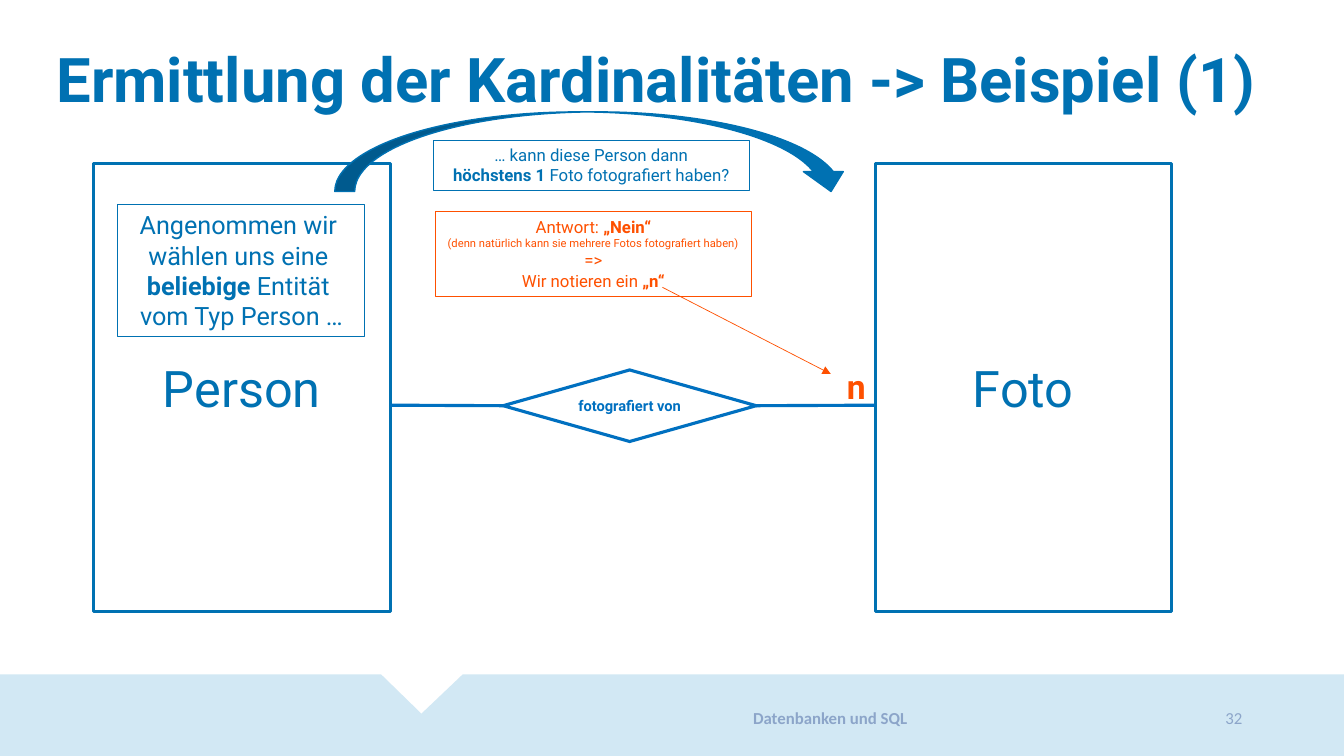
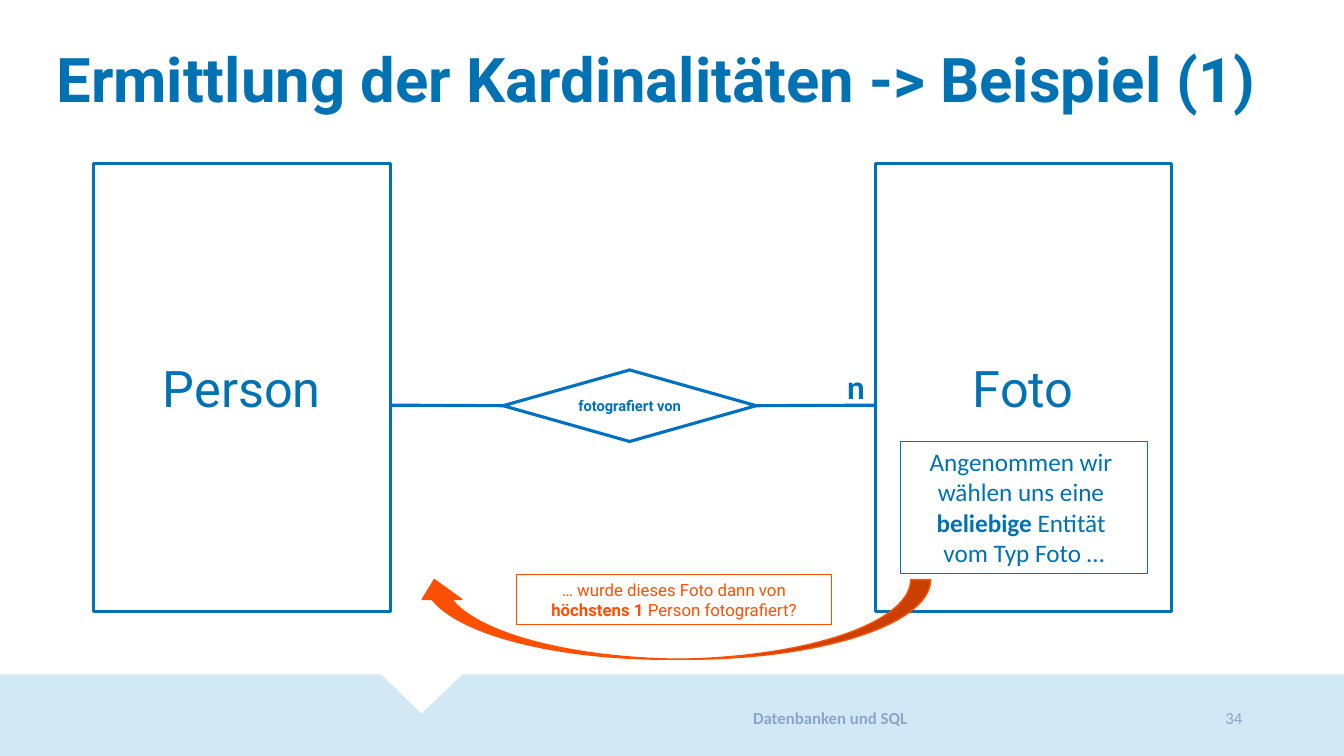
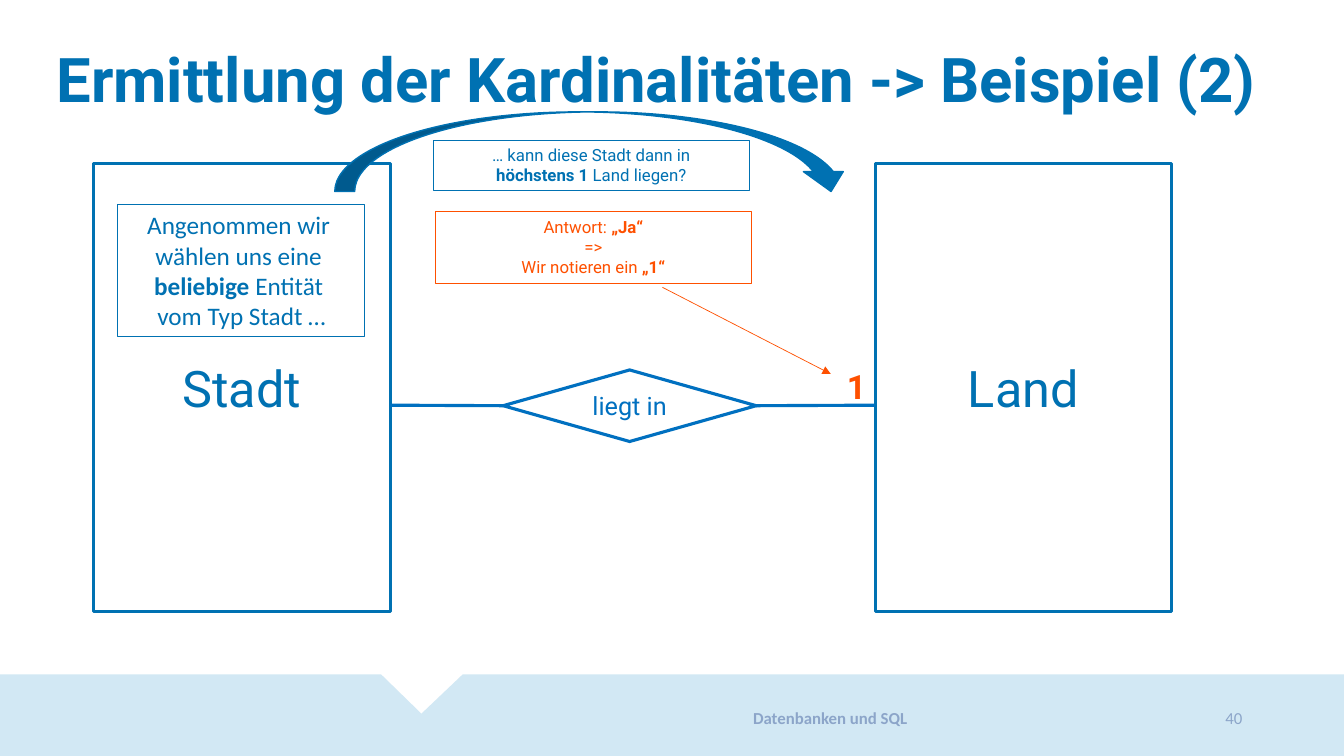
from dataclasses import dataclass

from lxml.etree import SubElement
from pptx import Presentation
from pptx.dml.color import RGBColor
from pptx.enum.shapes import MSO_CONNECTOR as Link, MSO_SHAPE as Shape
from pptx.enum.text import MSO_ANCHOR as Anchor, MSO_AUTO_SIZE as Fit, PP_ALIGN as Align
from pptx.oxml.ns import qn
from pptx.util import Inches, Pt


@dataclass(frozen=True)
class Theme:
    blue: str = "0071B2"
    relation_blue: str = "0070C0"
    orange: str = "FE5000"
    band: str = "D2E8F4"
    footer: str = "8CA5C9"
    main_font: str = "Roboto"
    plain_font: str = "Calibri"
    title_size: float = 44
    entity_size: float = 36
    mark_size: float = 24
    premise_size: float = 18
    note_size: float = 12
    relation_size: float = 10.5
    aside_size: float = 8


THEME = Theme()
WIDTH, HEIGHT = 13.33, 7.5
LEFT_ENTITY, RIGHT_ENTITY = 0.93, 8.68
ENTITY_TOP, ENTITY_WIDTH, ENTITY_HEIGHT = 1.62, 2.94, 4.45
LINK_Y = 4.02


class Deck:
    """Builds the cardinality slides in one style; asterisks in a text enclose bold words."""

    def __init__(self, theme):
        self.theme = theme
        self.file = Presentation()
        self.file.slide_width, self.file.slide_height = Inches(WIDTH), Inches(HEIGHT)
        self.page = None

    def add_page(self, title, number):
        theme = self.theme
        self.page = self.file.slides.add_slide(self.file.slide_layouts[5])
        heading = self.page.shapes.title
        place = {"left": 0.46, "top": 0.42, "width": 12.17, "height": 0.79}
        for name, value in place.items():
            setattr(heading, name, Inches(value))
        self.fill_text(heading, [title], theme.title_size, theme.blue, bold=True,
                       align=Align.LEFT, anchor=Anchor.MIDDLE, spacing=0.9)
        self.add_band()
        self.add_text((5.87, 6.9, 4.73, 0.45), "Datenbanken und SQL", theme.note_size,
                      theme.footer, font=theme.plain_font, bold=True, anchor=Anchor.MIDDLE)
        self.add_text((10.6, 6.9, 1.82, 0.45), number, theme.note_size, theme.footer,
                      font=theme.plain_font, align=Align.RIGHT, anchor=Anchor.MIDDLE)

    def add_band(self):
        outline = [(3.78, 6.69), (4.18, 7.08), (4.59, 6.69), (WIDTH, 6.69),
                   (WIDTH, HEIGHT), (0, HEIGHT)]
        builder = self.page.shapes.build_freeform(0, Inches(6.69))
        builder.add_line_segments([(Inches(x), Inches(y)) for x, y in outline])
        self.paint(builder.convert_to_shape(), fill=self.theme.band)

    def paint(self, shape, fill=None, line=None, weight=1.0):
        shape.shadow.inherit = False
        for part, color in ((shape.fill, fill), (shape.line.fill, line)):
            if color:
                part.solid()
                part.fore_color.rgb = RGBColor.from_string(color)
            else:
                part.background()
        if line:
            shape.line.width = Pt(weight)

    def fill_text(self, shape, lines, size, color, font=None, bold=False, align=Align.CENTER,
                  anchor=Anchor.TOP, spacing=None, fit=Fit.NONE, wrap=True):
        frame = shape.text_frame
        layout = {"word_wrap": wrap, "auto_size": fit, "vertical_anchor": anchor}
        for name, value in layout.items():
            setattr(frame, name, value)
        for index, line in enumerate(lines):
            text, line_size = line if isinstance(line, tuple) else (line, size)
            para = frame.add_paragraph() if index else frame.paragraphs[0]
            para.alignment, para.line_spacing = align, spacing
            for position, part in enumerate(text.split("*")):
                if not part:
                    continue
                span = para.add_run()
                span.text = part
                style = {"name": font or self.theme.main_font, "size": Pt(line_size),
                         "bold": bold or position % 2 == 1}
                for name, value in style.items():
                    setattr(span.font, name, value)
                span.font.color.rgb = RGBColor.from_string(color)

    def add_shape(self, kind, place, **colors):
        shape = self.page.shapes.add_shape(kind, *map(Inches, place))
        self.paint(shape, **colors)
        return shape

    def add_text(self, place, text, size, color, **style):
        box = self.page.shapes.add_textbox(*map(Inches, place))
        self.fill_text(box, [text], size, color, **style)

    def add_line(self, start, end, color, weight, arrow=False):
        points = map(Inches, (*start, *end))
        line = self.page.shapes.add_connector(Link.STRAIGHT, *points)
        line.line.color.rgb = RGBColor.from_string(color)
        line.line.width = Pt(weight)
        properties = line.element.spPr
        if arrow:
            SubElement(properties.find(qn("a:ln")), qn("a:tailEnd"), type="triangle")
        SubElement(properties, qn("a:effectLst"))
        return line

    def add_entity(self, left, name):
        theme = self.theme
        place = (left, ENTITY_TOP, ENTITY_WIDTH, ENTITY_HEIGHT)
        box = self.add_shape(Shape.RECTANGLE, place, line=theme.blue, weight=2.25)
        self.fill_text(box, [name], theme.entity_size, theme.blue, anchor=Anchor.MIDDLE)

    def add_diagram(self, first, second, relation, size, bold=False):
        color = self.theme.relation_blue
        self.add_entity(LEFT_ENTITY, first)
        self.add_entity(RIGHT_ENTITY, second)
        diamond = self.add_shape(Shape.DIAMOND, (4.99, 3.67, 2.51, 0.71),
                                 line=color, weight=2.25)
        self.fill_text(diamond, [relation], size, color, bold=bold, anchor=Anchor.MIDDLE)
        for edge, tip, side in ((RIGHT_ENTITY, 7.5, 3), (LEFT_ENTITY + ENTITY_WIDTH, 4.99, 1)):
            line = self.add_line((edge, LINK_Y), (tip, LINK_Y), color, 2.25)
            line.end_connect(diamond, side)

    def add_note(self, place, lines, color, size=None, font=None):
        box = self.add_shape(Shape.RECTANGLE, place, line=color, weight=0.75)
        self.fill_text(box, lines, size or self.theme.note_size, color, font=font,
                       fit=Fit.SHAPE_TO_FIT_TEXT)

    def add_premise(self, left, top, entity, font=None):
        lines = ["Angenommen wir ", "wählen uns eine ", "*beliebige* Entität ",
                 f"vom Typ {entity} …"]
        self.add_note((left, top, 2.45, 1.31), lines, self.theme.blue,
                      self.theme.premise_size, font)

    def add_arc(self, left, top, color, rotation=0):
        arc = self.add_shape(Shape.CURVED_DOWN_ARROW, (left, top, 5.12, 0.79),
                             fill=color, line=color)
        arc.rotation = rotation

    def add_question(self, left, top, lines, color):
        self.add_note((left, top, 3.13, 0.5), lines, color)

    def add_answer(self, height, lines):
        color = self.theme.orange
        self.add_note((4.32, 2.1, 3.13, height), lines, color)
        self.add_line((6.57, 2.85), (8.24, 3.71), color, 0.5, arrow=True)

    def add_mark(self, mark, color, font=None):
        self.add_text((8.3, 3.58, 0.38, 0.5), mark, self.theme.mark_size, color, font=font,
                      bold=True, align=Align.LEFT, fit=Fit.SHAPE_TO_FIT_TEXT, wrap=False)


def main():
    deck = Deck(THEME)
    title = "Ermittlung der Kardinalitäten -> Beispiel ({})"
    photo = ("Person", "Foto", "fotografiert von", THEME.relation_size, True)

    deck.add_page(title.format(1), "32")
    deck.add_diagram(*photo)
    deck.add_premise(1.17, 2.03, "Person")
    deck.add_arc(3.32, 1.11, THEME.blue)
    deck.add_question(4.3, 1.39, ["… kann diese Person dann",
                                  "*höchstens 1 *Foto fotografiert haben?"], THEME.blue)
    aside = "(denn natürlich kann sie mehrere Fotos fotografiert haben)"
    deck.add_answer(0.84, ["Antwort: *„Nein“*", (aside, THEME.aside_size), "=>",
                           "Wir notieren ein *„n“*"])
    deck.add_mark("n", THEME.orange)

    deck.add_page(title.format(1), "34")
    deck.add_diagram(*photo)
    deck.add_mark("n", THEME.blue, THEME.plain_font)
    deck.add_premise(8.93, 4.38, "Foto", THEME.plain_font)
    deck.add_arc(4.11, 5.75, THEME.orange, rotation=180)
    deck.add_question(5.12, 5.7, ["… wurde dieses Foto dann von",
                                  "*höchstens 1 *Person fotografiert?"], THEME.orange)

    deck.add_page(title.format(2), "40")
    deck.add_diagram("Stadt", "Land", "liegt in", THEME.premise_size)
    deck.add_premise(1.17, 2.03, "Stadt", THEME.plain_font)
    deck.add_arc(3.32, 1.11, THEME.blue)
    deck.add_question(4.3, 1.39, ["… kann diese Stadt dann in",
                                  "*höchstens 1 *Land liegen?"], THEME.blue)
    deck.add_answer(0.71, ["Antwort: *„Ja“*", "=>", "Wir notieren ein *„1“*"])
    deck.add_mark("1", THEME.orange)

    deck.file.save("out.pptx")


if __name__ == "__main__":
    main()
